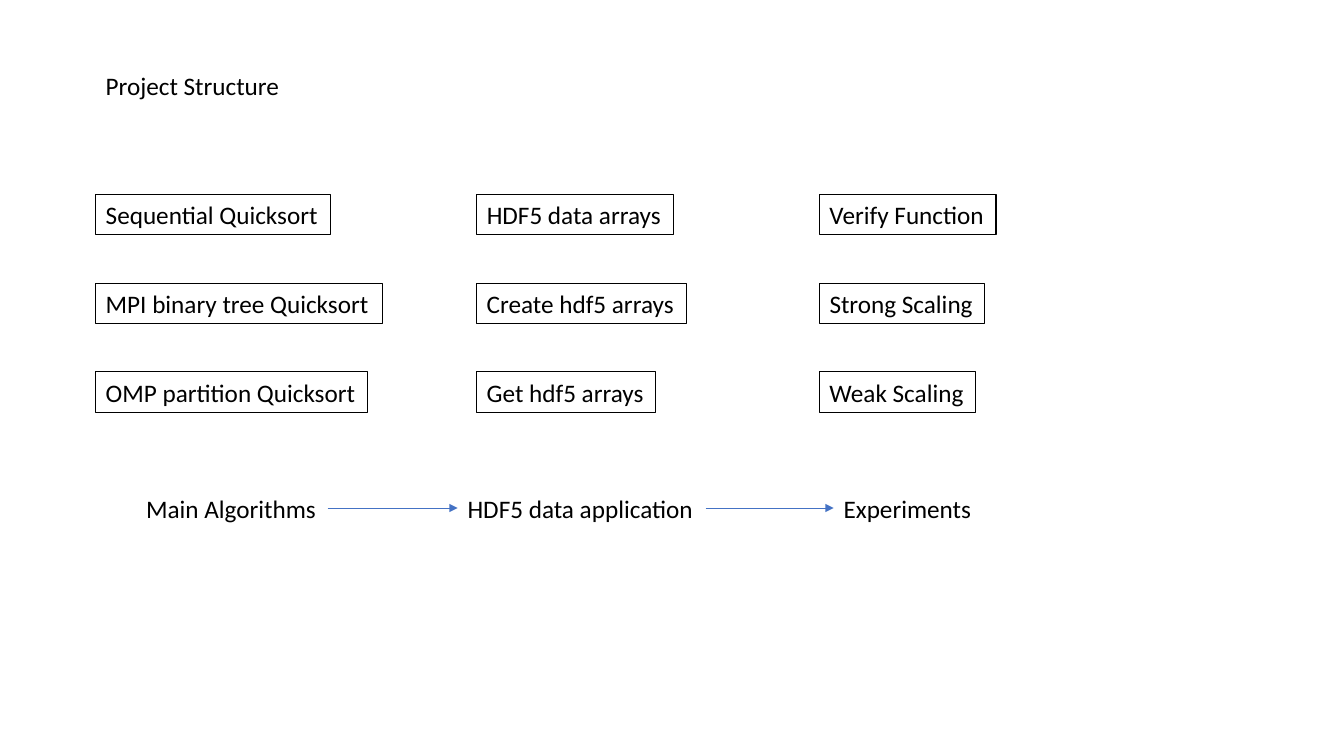
import dataclasses
import itertools

import lxml.etree
import pptx
import pptx.dml.color
import pptx.enum.shapes
import pptx.enum.text
import pptx.oxml.ns
import pptx.util


@dataclasses.dataclass(frozen=True)
class Theme:
    font: str = "Calibri"
    text_size: float = 18
    text_color: str = "000000"
    border_color: str = "000000"
    border_width: float = 0.75
    arrow_color: str = "4472C4"
    arrow_width: float = 0.5


class SlideBuilder:
    def __init__(self, presentation, theme):
        self.theme = theme
        self.width = presentation.slide_width
        self.height = presentation.slide_height
        self.slide = presentation.slides.add_slide(presentation.slide_layouts[6])

    def across(self, percent):
        return round(self.width * percent / 100)

    def down(self, percent):
        return round(self.height * percent / 100)

    def style_line(self, line, color, width):
        line.color.rgb = pptx.dml.color.RGBColor.from_string(color)
        line.width = pptx.util.Pt(width)

    def label(self, text, left, top, width):
        shape = self.slide.shapes.add_textbox(
            self.across(left), self.down(top), self.across(width), self.down(LABEL_HEIGHT)
        )
        text_frame = shape.text_frame
        text_frame.text = text
        text_frame.word_wrap = False
        text_frame.auto_size = pptx.enum.text.MSO_AUTO_SIZE.SHAPE_TO_FIT_TEXT
        font = text_frame.paragraphs[0].runs[0].font
        font.name = self.theme.font
        font.size = pptx.util.Pt(self.theme.text_size)
        font.color.rgb = pptx.dml.color.RGBColor.from_string(self.theme.text_color)
        return shape

    def box(self, text, left, top, width):
        shape = self.label(text, left, top, width)
        self.style_line(shape.line, self.theme.border_color, self.theme.border_width)

    def arrow(self, start, end, top):
        connector = self.slide.shapes.add_connector(
            pptx.enum.shapes.MSO_CONNECTOR.STRAIGHT,
            self.across(start), self.down(top), self.across(end), self.down(top),
        )
        self.style_line(connector.line, self.theme.arrow_color, self.theme.arrow_width)
        qualified = pptx.oxml.ns.qn
        properties = connector.element.spPr
        outline = properties.find(qualified("a:ln"))
        lxml.etree.SubElement(outline, qualified("a:tailEnd"), type="triangle")
        lxml.etree.SubElement(properties, qualified("a:effectLst"))


LABEL_HEIGHT = 5.33
TITLE_TOP = 8.67
FIRST_BOX_TOP = 25.73
ROW_STEP = 11.73
STAGE_TOP = 64.53

BOX_COLUMNS = {
    7.13: [
        ("Sequential Quicksort", 17.48),
        ("MPI binary tree Quicksort", 21.3),
        ("OMP partition Quicksort", 20.25),
    ],
    35.48: [
        ("HDF5 data arrays", 14.63),
        ("Create hdf5 arrays", 15.6),
        ("Get hdf5 arrays", 13.28),
    ],
    60.98: [
        ("Verify Function", 13.13),
        ("Strong Scaling", 12.3),
        ("Weak Scaling", 11.63),
    ],
}

STAGES = [
    ("Main Algorithms", 10.13, 14.25),
    ("HDF5 data application", 34.05, 18.45),
    ("Experiments", 62.03, 11.1),
]


def main():
    presentation = pptx.Presentation()
    presentation.slide_width = pptx.util.Inches(13.33)
    presentation.slide_height = pptx.util.Inches(7.5)
    builder = SlideBuilder(presentation, Theme())

    builder.label("Project Structure", min(BOX_COLUMNS), TITLE_TOP, 14.55)

    for left, boxes in BOX_COLUMNS.items():
        for row, (text, width) in enumerate(boxes):
            builder.box(text, left, FIRST_BOX_TOP + row * ROW_STEP, width)

    for text, left, width in STAGES:
        builder.label(text, left, STAGE_TOP, width)

    for (_, left, width), (_, next_left, _) in itertools.pairwise(STAGES):
        builder.arrow(left + width, next_left, STAGE_TOP + LABEL_HEIGHT / 2)

    presentation.save("out.pptx")


if __name__ == "__main__":
    main()
